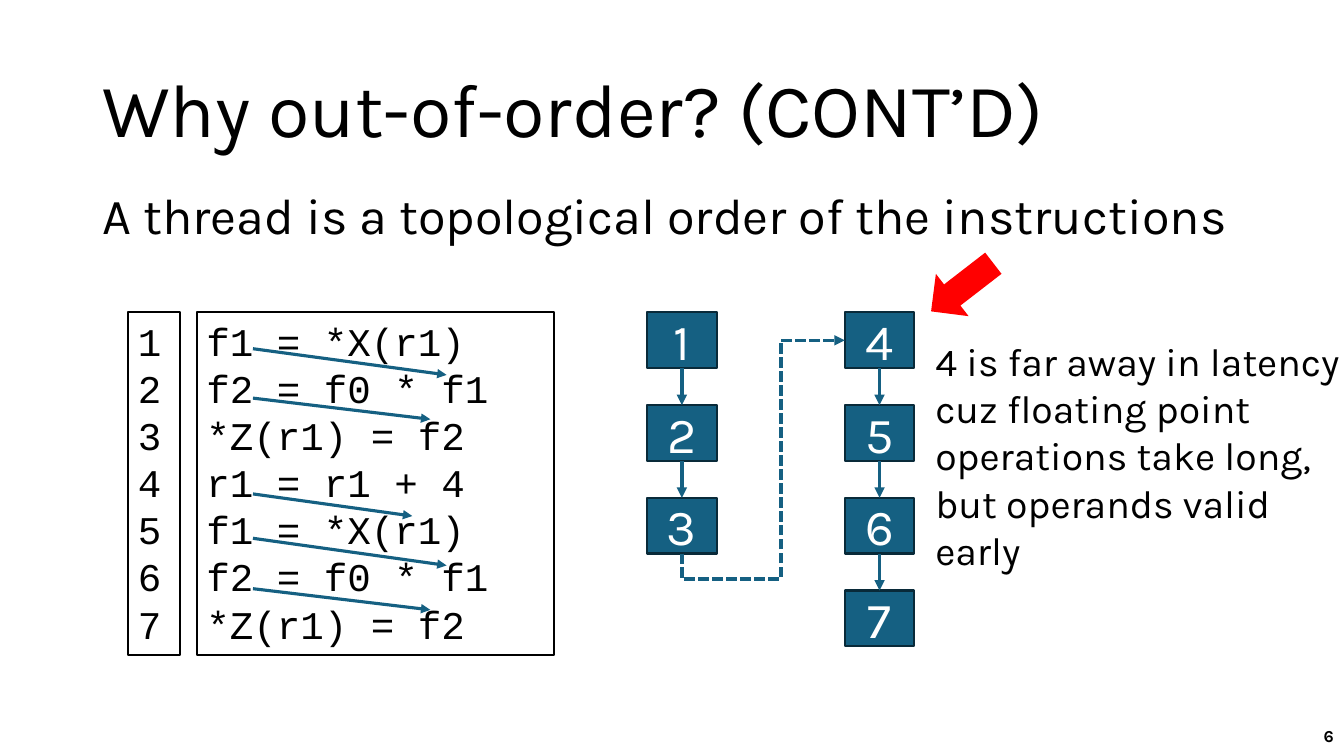
from lxml import etree
from pptx import Presentation
from pptx.dml.color import RGBColor
from pptx.enum.dml import MSO_LINE
from pptx.enum.shapes import MSO_CONNECTOR, MSO_SHAPE
from pptx.enum.text import MSO_ANCHOR, PP_ALIGN
from pptx.oxml.ns import qn
from pptx.util import Pt

TITLE = "Why out-of-order? (CONT’D)"
BULLET = "A thread is a topological order of the instructions"
NOTE = ("4 is far away in latency cuz floating point operations take long, "
        "but operands valid early")
PAGE = "6"
CODE = [
    "f1 = *X(r1)",
    "f2 = f0 * f1",
    "*Z(r1) = f2",
    "r1 = r1 + 4",
    "f1 = *X(r1)",
    "f2 = f0 * f1",
    "*Z(r1) = f2",
]
NODE_COLUMNS = [(462.2, ["1", "2", "3"]), (603.4, ["4", "5", "6", "7"])]
DEPENDENCIES = [
    (249.1, 319, 267.8),
    (284.4, 307.4, 299.5),
    (352.8, 294.5, 368.6),
    (384.5, 319, 403.9),
    (420.5, 307.4, 435.6),
]

BLACK, WHITE, TEAL, DARK_TEAL, RED = "000000", "FFFFFF", "156082", "092A39", "FF0000"
SANS, MONO = "Karla", "Courier New"
ROWS_TOP, NODE_STEP, NODE_WIDTH, NODE_HEIGHT = 223.2, 66.2, 49.7, 39.8
DEPENDENCY_LEFT = 180.7

deck = Presentation()
deck.slide_width, deck.slide_height = Pt(960), Pt(540)
slide = deck.slides.add_slide(deck.slide_layouts[6])


def paint(color_format, color):
    color_format.rgb = RGBColor.from_string(color)


def write(shape, lines, size, color=BLACK, face=SANS, align=PP_ALIGN.LEFT,
          anchor=MSO_ANCHOR.TOP, spacing=1.0, bold=False):
    frame = shape.text_frame
    frame.word_wrap = True
    frame.vertical_anchor = anchor
    frame.text = "\n".join(lines)
    for paragraph in frame.paragraphs:
        paragraph.alignment = align
        paragraph.line_spacing = spacing
        paragraph.font.size = Pt(size)
        paragraph.font.name = face
        paragraph.font.bold = bold
        paint(paragraph.font.color, color)


def text_box(left, top, width, height):
    return slide.shapes.add_textbox(Pt(left), Pt(top), Pt(width), Pt(height))


def block(kind, left, top, width, height, fill, outline=None):
    shape = slide.shapes.add_shape(kind, Pt(left), Pt(top), Pt(width), Pt(height))
    shape.shadow.inherit = False
    shape.fill.solid()
    paint(shape.fill.fore_color, fill)
    if outline:
        paint(shape.line.color, outline)
        shape.line.width = Pt(1.5)
    else:
        shape.line.fill.background()
    return shape


def arrow(x1, y1, x2, y2, weight, kind=MSO_CONNECTOR.STRAIGHT, dash=None):
    connector = slide.shapes.add_connector(kind, Pt(x1), Pt(y1), Pt(x2), Pt(y2))
    paint(connector.line.color, TEAL)
    connector.line.width = Pt(weight)
    if dash:
        connector.line.dash_style = dash
    properties = connector._element.spPr
    etree.SubElement(properties.find(qn("a:ln")), qn("a:tailEnd"), type="triangle")
    etree.SubElement(properties, qn("a:effectLst"))
    return connector


write(text_box(66, 28.8, 828, 104.4), [TITLE], 54, anchor=MSO_ANCHOR.MIDDLE, spacing=0.9)

body = text_box(66, 133.2, 820, 342.7)
body_properties = body.text_frame.paragraphs[0]._p.get_or_add_pPr()
body_properties.set("marL", str(Pt(18)))
body_properties.set("indent", str(Pt(-18)))
etree.SubElement(body_properties, qn("a:buFont"), typeface="Arial")
etree.SubElement(body_properties, qn("a:buChar"), char="•")
write(body, [BULLET], 36, spacing=0.9)

write(text_box(743.8, 511.2, 216, 28.8), [PAGE], 12, align=PP_ALIGN.RIGHT,
      anchor=MSO_ANCHOR.MIDDLE, bold=True)

line_numbers = [str(number) for number in range(1, len(CODE) + 1)]
for left, width, lines in [(91.4, 37.4, line_numbers), (140.4, 255.6, CODE)]:
    panel = block(MSO_SHAPE.RECTANGLE, left, ROWS_TOP, width, 244.8, WHITE, BLACK)
    write(panel, lines, 28, face=MONO)

for start_y, end_x, end_y in DEPENDENCIES:
    arrow(DEPENDENCY_LEFT, start_y, end_x, end_y, 2.25)

for left, labels in NODE_COLUMNS:
    center = left + NODE_WIDTH / 2
    for row, label in enumerate(labels):
        top = ROWS_TOP + row * NODE_STEP
        node = block(MSO_SHAPE.RECTANGLE, left, top, NODE_WIDTH, NODE_HEIGHT, TEAL, DARK_TEAL)
        write(node, [label], 36, WHITE, align=PP_ALIGN.CENTER, anchor=MSO_ANCHOR.MIDDLE)
        if row:
            arrow(center, top - NODE_STEP + NODE_HEIGHT, center, top, 2.5)

first_left, first_labels = NODE_COLUMNS[0]
from_x = first_left + NODE_WIDTH / 2
from_y = ROWS_TOP + (len(first_labels) - 1) * NODE_STEP + NODE_HEIGHT
to_x, to_y = NODE_COLUMNS[1][0], ROWS_TOP + NODE_HEIGHT / 2
middle_x, middle_y = (from_x + to_x) / 2, (from_y + to_y) / 2
half_rise, half_run = (from_y - to_y) / 2, (to_x - from_x) / 2
detour = arrow(middle_x + half_rise, middle_y + half_run,
               middle_x - half_rise, middle_y - half_run,
               2.5, MSO_CONNECTOR.ELBOW, MSO_LINE.SQUARE_DOT)
detour_properties = detour._element.spPr
detour_properties.find(qn("a:xfrm")).set("rot", "5400000")
bend = detour_properties.find(qn("a:prstGeom"))
bend.set("prst", "bentConnector4")
for old_guides in bend.findall(qn("a:avLst")):
    bend.remove(old_guides)
guides = etree.SubElement(bend, qn("a:avLst"))
for guide, value in [("adj1", -11900), ("adj2", 60700)]:
    etree.SubElement(guides, qn("a:gd"), name=guide, fmla=f"val {value}")

pointer = block(MSO_SHAPE.DOWN_ARROW, 668.2, 177.1, 38.2, 56.2, RED)
pointer.rotation = 52.3

write(text_box(661, 237.6, 310.3, 143.3), [NOTE], 28)

deck.save("out.pptx")
